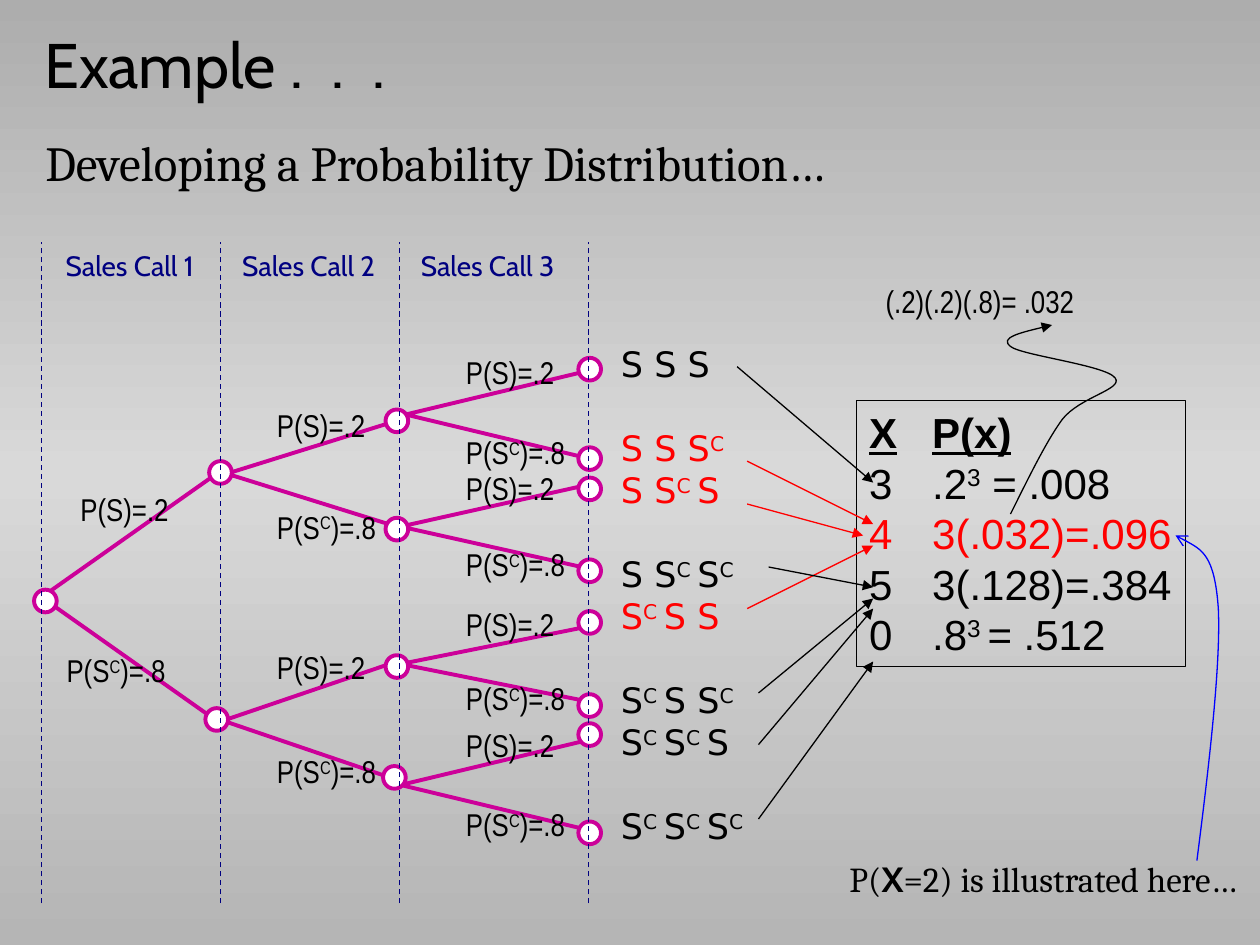
from lxml import etree
from pptx import Presentation, util as u
from pptx.dml.color import RGBColor
from pptx.enum import dml, shapes, text
from pptx.oxml.ns import qn

BLACK, RED, NAVY, MAGENTA, BLUE = "000000", "FF0000", "000080", "CC0099", "0000FF"
NARROW, SYMBOL, HEAD, SERIF = "Arial Narrow", "DejaVu Sans", "Cabin", "Cambria"

BACKGROUND = [(0, "ADADAD"), (50, "D9D9D9"), (100, "B5B5B5")]
TITLE = "Example .  .  ."
SUBTITLE = "Developing a Probability Distribution…"
# apex x, apex y, branch width, half height
FORKS = [
    (3.22, 3.29, 1.5, 0.36), (3.18, 4.18, 1.5, 0.335), (3.18, 5.27, 1.5, 0.3),
    (3.18, 6.23, 1.5, 0.36), (1.8, 3.76, 1.38, 0.43), (1.77, 5.72, 1.38, 0.47),
    (0.33, 4.74, 1.41, 0.995),
]
NODES = [(4.59, y) for y in (2.84, 3.55, 3.79, 4.44, 4.85, 5.51, 5.74, 6.52)]
NODES += [(3.06, 3.25), (3.06, 4.11), (3.06, 5.2), (3.04, 6.08)]
NODES += [(0.27, 4.68), (1.63, 5.62), (1.66, 3.66)]
BRANCHES = {
    "P(S)=.2": (0.9, [(0.54, 3.84), (2.1, 3.17), (2.1, 5.09), (3.6, 2.75),
                      (3.6, 3.67), (3.6, 4.75), (3.6, 5.71)]),
    "P(S^C^)=.8": (1, [(0.43, 5.12), (2.1, 3.98), (2.1, 5.92), (3.6, 3.39),
                       (3.6, 4.28), (3.6, 5.34), (3.6, 6.34)]),
}
# outcome, colour, space before
OUTCOMES = [
    ("S S S", BLACK, 0), ("S S S^C^", RED, 24), ("S S^C ^S", RED, 0),
    ("S S^C ^S^C^", BLACK, 24), ("S^C ^S S", RED, 0), ("S^C ^S S^C^", BLACK, 24),
    ("S^C ^S^C ^S", BLACK, 0), ("S^C ^S^C ^S^C^", BLACK, 24),
]
# text, colour, heading, numbered
DISTRIBUTION = [
    ("X\tP(x)", BLACK, True, False), (".2^3^ = .008", BLACK, False, True),
    ("3(.032)=.096", RED, False, True), ("3(.128)=.384", BLACK, False, True),
    ("0\t.8^3 ^= .512", BLACK, False, False),
]
ARROWS = [
    (5.85, 2.91, 6.93, 3.83, BLACK), (5.93, 3.66, 6.93, 4.16, RED),
    (5.93, 4, 6.85, 4.25, RED), (5.93, 4.83, 6.93, 4.33, RED),
    (6.1, 4.5, 6.93, 4.66, BLACK), (6.02, 5.5, 6.93, 4.75, BLACK),
    (6.02, 5.91, 6.93, 4.83, BLACK), (6.02, 6.5, 6.93, 5.25, BLACK),
]
COLUMNS = [0.33, 1.75, 3.17, 4.67]
PRODUCT_CURVE = [
    (8.02, 4.08), (8.16, 3.8), (8.3, 3.51), (8.43, 3.33), (8.57, 3.15), (8.92, 3.09),
    (8.85, 3), (8.78, 2.9), (8.1, 2.82), (8.02, 2.75), (7.93, 2.68), (8.14, 2.63), (8.35, 2.58),
]
NOTE_CURVE = [(9.5, 6.83), (9.6, 6.05), (9.69, 5.26), (9.67, 4.83),
              (9.64, 4.4), (9.49, 4.33), (9.33, 4.25)]


def rgb(value):
    """Turn a hex string into a colour."""
    return RGBColor.from_string(value)


def add(parent, tag, **attributes):
    """Append a drawing element."""
    return etree.SubElement(parent, qn(tag), attributes)


def add_text(p, content, size, font, color, bold=None):
    """Add runs to a paragraph, raising the parts between carets."""
    for i, part in enumerate(content.split("^")):
        if part:
            r = p.add_run()
            r.text = part
            r.font.size, r.font.name, r.font.bold = u.Pt(size), font, bold
            r.font.color.rgb = rgb(color)
            if i % 2:
                r.font._element.set("baseline", "30000")


def box(s, left, top, width, height, wrap=False, anchor=text.MSO_ANCHOR.TOP):
    """Add an empty text box and return its frame."""
    tf = s.shapes.add_textbox(*map(u.Inches, (left, top, width, height))).text_frame
    tf.word_wrap, tf.vertical_anchor = wrap, anchor
    tf.auto_size = text.MSO_AUTO_SIZE.SHAPE_TO_FIT_TEXT
    return tf


def style_line(sp, color, width=0.75, tail=None):
    """Set the outline and an optional arrowhead."""
    sp.line.color.rgb, sp.line.width = rgb(color), u.Pt(width)
    if tail:
        add(sp._element.spPr.find(qn("a:ln")), "a:tailEnd", type=tail)


def connect(s, x1, y1, x2, y2, color, tail=None, dashed=False):
    """Add a straight line."""
    sp = s.shapes.add_connector(shapes.MSO_CONNECTOR.STRAIGHT, *map(u.Inches, (x1, y1, x2, y2)))
    if dashed:
        sp.line.dash_style = dml.MSO_LINE.DASH
    style_line(sp, color, tail=tail)
    add(sp._element.spPr, "a:effectLst")


def outline(s, points, color, width=0.75, tail=None):
    """Add an open, unfilled outline."""
    start, *rest = [(u.Inches(x), u.Inches(y)) for x, y in points]
    builder = s.shapes.build_freeform(*start)
    builder.add_line_segments(rest, close=False)
    sp = builder.convert_to_shape()
    sp.fill.background()
    style_line(sp, color, width, tail)
    sp.shadow.inherit = False
    return sp


def curve(s, points, color, tail):
    """Add a Bezier curve from a start and triples of points."""
    sp = outline(s, points, color, tail=tail)
    path = next(sp._element.iter(qn("a:path")))
    segments = path.findall(qn("a:lnTo"))
    for i in range(0, len(segments), 3):
        bezier = add(path, "a:cubicBezTo")
        for segment in segments[i:i + 3]:
            bezier.append(segment[0])
            path.remove(segment)


def set_background(s):
    """Fill the background with a vertical gradient."""
    fill = s.background.fill
    fill.gradient()
    fill.gradient_angle = 270
    stops = next(s.element.iter(qn("a:gsLst")))
    for stop in list(stops):
        stops.remove(stop)
    for position, color in BACKGROUND:
        add(add(stops, "a:gs", pos=str(position * 1000)), "a:srgbClr", val=color)


def add_headings(s):
    """Fill the title and body placeholders."""
    for sp, content, size, font, at in (
        (s.shapes.title, TITLE, 36, HEAD, (0.25, 0.17, 9.58, 0.67)),
        (s.placeholders[1], SUBTITLE, 28, SERIF, (0.26, 1, 9.74, 6)),
    ):
        sp.left, sp.top, sp.width, sp.height = map(u.Inches, at)
        sp.text_frame.auto_size = text.MSO_AUTO_SIZE.NONE
        p = sp.text_frame.paragraphs[0]
        p.alignment, p.space_before = text.PP_ALIGN.LEFT, u.Pt(0)
        pPr = p._p.get_or_add_pPr()
        pPr.set("marL", "0")
        pPr.set("indent", "0")
        add(pPr, "a:buNone")
        add_text(p, content, size, font, BLACK)


def add_tree(s):
    """Draw the branches, nodes and probabilities."""
    for x, y, width, half in FORKS:
        outline(s, [(x + width, y - half), (x, y), (x + width, y + half)], MAGENTA, 2.25)
    for x, y in NODES:
        sp = s.shapes.add_shape(shapes.MSO_SHAPE.OVAL, *map(u.Inches, (x, y, 0.18, 0.18)))
        sp.fill.solid()
        sp.fill.fore_color.rgb = rgb("FFFFFF")
        style_line(sp, MAGENTA, 2.25)
        sp.shadow.inherit = False
    for label, (width, places) in BRANCHES.items():
        for x, y in places:
            add_text(box(s, x, y, width, 0.4).paragraphs[0], label, 18, NARROW, BLACK)


def add_outcomes(s):
    """List the outcomes of the three calls."""
    tf = box(s, 4.83, 2.67, 1.28, 4.16)
    for i, (outcome, color, before) in enumerate(OUTCOMES):
        p = tf.add_paragraph() if i else tf.paragraphs[0]
        if before:
            p.space_before = u.Pt(before)
        add_text(p, outcome, 20, SYMBOL, color)


def add_distribution(s):
    """Add the framed probability distribution."""
    sp = s.shapes.add_shape(shapes.MSO_SHAPE.RECTANGLE, *map(u.Inches, (6.8, 3.18, 2.61, 2.11)))
    sp.fill.background()
    style_line(sp, BLACK)
    sp.shadow.inherit = False
    tf = sp.text_frame
    tf.word_wrap, tf.vertical_anchor = False, text.MSO_ANCHOR.TOP
    tf.auto_size = text.MSO_AUTO_SIZE.SHAPE_TO_FIT_TEXT
    for i, (content, color, heading, numbered) in enumerate(DISTRIBUTION):
        p = tf.add_paragraph() if i else tf.paragraphs[0]
        p.alignment = text.PP_ALIGN.LEFT
        pPr = p._p.get_or_add_pPr()
        pPr.set("marL", str(u.Inches(0.5)))
        pPr.set("indent", str(-u.Inches(0.5)))
        if numbered:
            add(pPr, "a:buFontTx")
            add(pPr, "a:buAutoNum", type="arabicPlain", startAt="3")
        add_text(p, content, 24, "Arial", color, heading)
        if heading:
            p.runs[0].font.underline = True


def main():
    """Build the slide."""
    prs = Presentation()
    prs.slide_width, prs.slide_height = u.Inches(10), u.Inches(7.5)
    s = prs.slides.add_slide(prs.slide_layouts[1])
    set_background(s)
    add_headings(s)
    add_tree(s)
    add_outcomes(s)
    add_distribution(s)
    for arrow in ARROWS:
        connect(s, *arrow, tail="triangle")
    add_text(box(s, 6.93, 2.19, 1.7, 0.4).paragraphs[0], "(.2)(.2)(.8)= .032", 18, NARROW, BLACK)
    curve(s, PRODUCT_CURVE, BLACK, "triangle")
    for x in COLUMNS:
        connect(s, x, 7.17, x, 1.92, NAVY, dashed=True)
    for i, x in enumerate(COLUMNS[:3], 1):
        p = box(s, x, 1.92, 1.4, 0.37, True, text.MSO_ANCHOR.MIDDLE).paragraphs[0]
        p.alignment = text.PP_ALIGN.CENTER
        add_text(p, f"Sales Call {i}", 16, HEAD, NAVY)
    p = box(s, 6.64, 6.75, 3.28, 0.44, anchor=text.MSO_ANCHOR.MIDDLE).paragraphs[0]
    p.alignment = text.PP_ALIGN.CENTER
    add_text(p, "P(", 20, SERIF, BLACK)
    add_text(p, "X", 20, HEAD, BLACK, True)
    add_text(p, "=2) is illustrated here…", 20, SERIF, BLACK)
    curve(s, NOTE_CURVE, BLUE, "arrow")
    prs.save("out.pptx")


if __name__ == "__main__":
    main()
